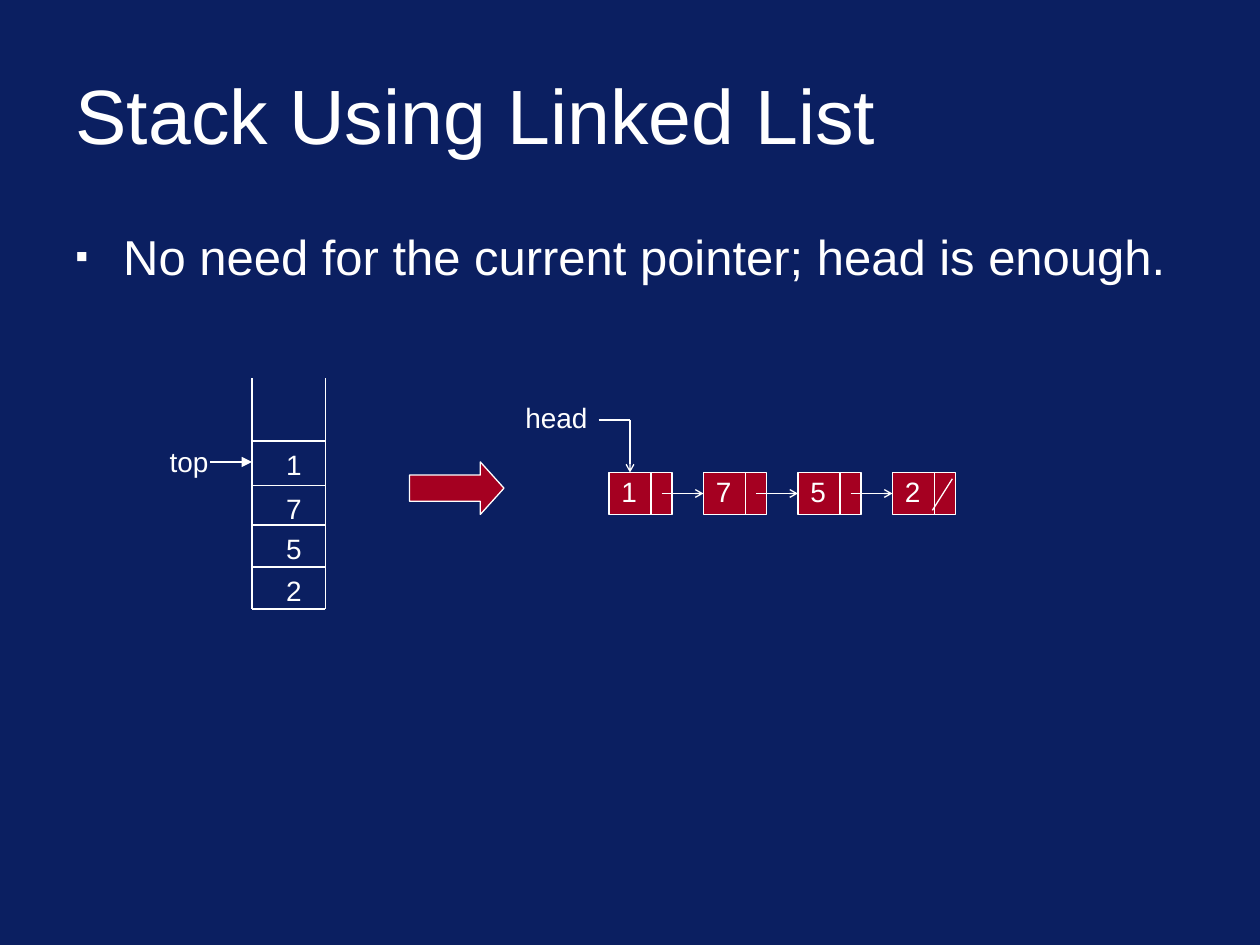
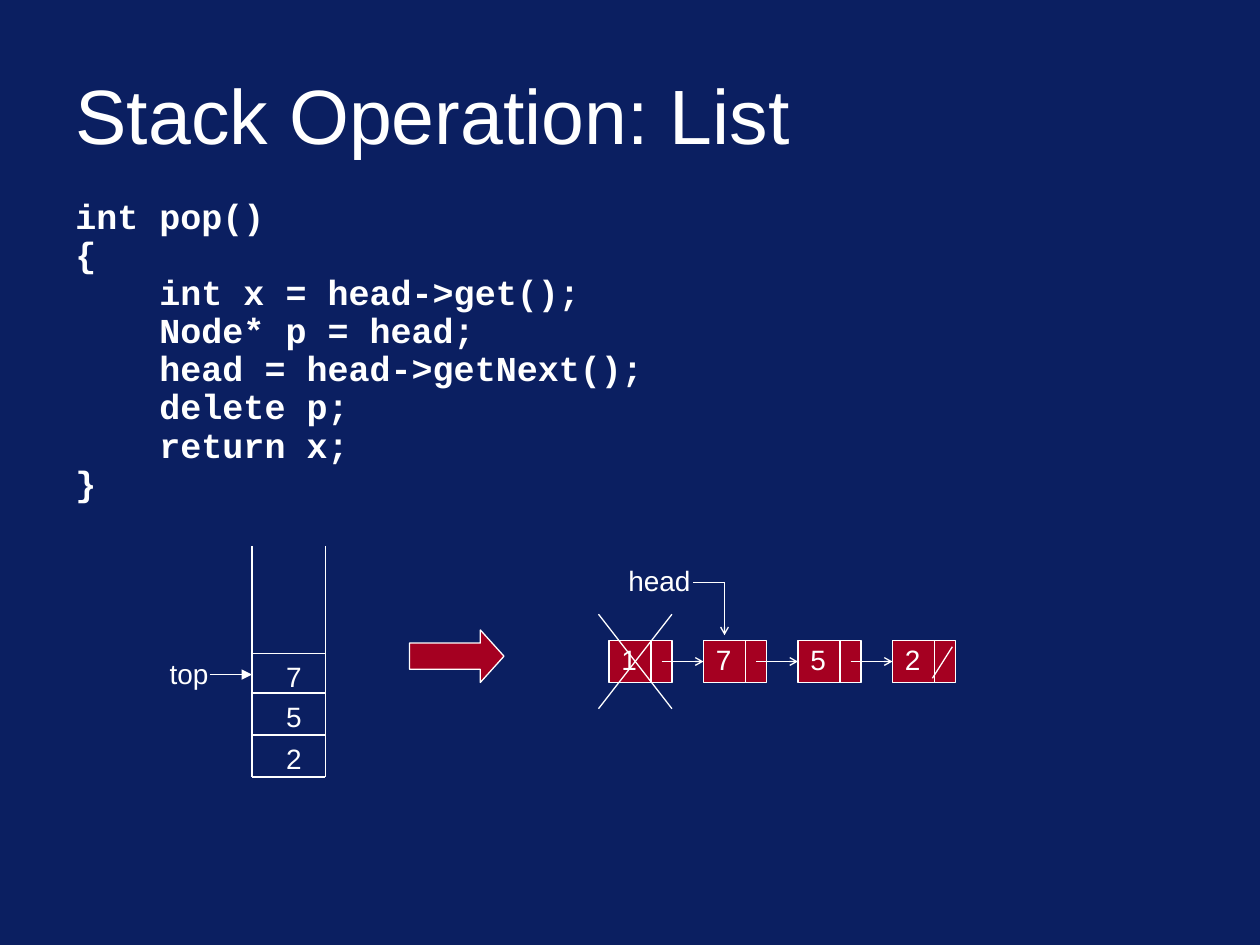
from dataclasses import dataclass

from pptx import Presentation
from pptx import util as u
from pptx.dml.color import RGBColor
from pptx.enum import shapes, text
from pptx.oxml import ns, xmlchemy


@dataclass(frozen=True)
class Theme:
    back: RGBColor = RGBColor(0x0B, 0x1F, 0x61)
    ink: RGBColor = RGBColor(0xFF, 0xFF, 0xFF)
    fill: RGBColor = RGBColor(0xA5, 0x00, 0x21)
    sans: str = "Arial"
    mono: str = "Courier New"
    title: int = 44
    body: int = 28
    code: int = 20
    label: int = 16
    rule: float = 0.75


T = Theme()
WIDE, HIGH = u.Inches(10), u.Inches(7.5)
COLS = 120  # columns across the slide; rows have the same size
RUNGS = (0, 4, 8, 11.75, 16)  # cell edges, counted up from the stack floor
PITCH = 9
NODE_W, NODE_H = 6, 4
TIPS = {"arrow": "sm", "triangle": "med"}
CODE = """int pop()
{
    int x = head->get();
    Node* p = head;
    head = head->getNext();
    delete p;
    return x;
}"""


def grid(*vals):
    return [round(WIDE * v / COLS) for v in vals]


def add_tag(parent, name, **attrs):
    node = xmlchemy.OxmlElement(name)
    for key, val in attrs.items():
        node.set(key, val)
    parent.append(node)


def style(par, size, font=T.sans, bold=False):
    for run in par.runs:
        run.font.size, run.font.name = u.Pt(size), font
        run.font.bold = bold
        run.font.color.rgb = T.ink


def write(slide, words, x, y, w, h, wrap=True):
    frame = slide.shapes.add_textbox(*grid(x, y, w, h)).text_frame
    frame.word_wrap = wrap
    frame.text = words
    return frame.paragraphs


def label(slide, words, x, y, w, align=text.PP_ALIGN.CENTER):
    par = write(slide, words, x, y, w, 4.4, wrap=False)[0]
    par.alignment = align
    style(par, T.label)


def line(slide, x1, y1, x2, y2, tip=None):
    link = slide.shapes.add_connector(
        shapes.MSO_CONNECTOR.STRAIGHT, *grid(x1, y1, x2, y2))
    link.line.color.rgb = T.ink
    link.line.width = u.Pt(T.rule)
    props = link._element.spPr
    if tip:
        add_tag(props.find(ns.qn("a:ln")), "a:tailEnd",
                type=tip, w=TIPS[tip], len=TIPS[tip])
    add_tag(props, "a:effectLst")


def block(slide, kind, x, y, w, h):
    form = slide.shapes.add_shape(kind, *grid(x, y, w, h))
    form.shadow.inherit = False
    form.fill.solid()
    form.fill.fore_color.rgb = T.fill
    form.line.color.rgb = T.ink
    form.line.width = u.Pt(T.rule)
    return form


def draw_stack(slide, vals, x, y, w=7, h=22):
    """Draw an open-topped stack; vals run from top to bottom."""
    floor, right = y + h, x + w
    for side in (x, right):
        line(slide, side, y, side, floor)
    for rung in RUNGS[:len(vals) + 1]:
        line(slide, x, floor - rung, right, floor - rung)
    for val, rung in zip(reversed(vals), RUNGS[1:]):
        label(slide, val, x + 2, floor - rung, 4)
    top = floor - RUNGS[len(vals)] + 2
    label(slide, "top", x - 11, top - 2.3, 10)
    line(slide, x - 4, top, x, top, "triangle")


def draw_node(slide, val, x, y, last):
    block(slide, shapes.MSO_SHAPE.RECTANGLE, x, y, NODE_W, NODE_H)
    line(slide, x + 4, y, x + 4, y + NODE_H)
    label(slide, val, x, y - 0.4, 4, text.PP_ALIGN.LEFT)
    if last:
        line(slide, x + 5.7, y + 0.6, x + 3.8, y + 3.6)
    else:
        line(slide, x + 5, y + 2, x + PITCH, y + 2, "arrow")


def draw_head(slide, x, y, gap):
    """Point at (x, y) from a label centred gap columns to the left."""
    label(slide, "head", x - gap - 6, y - 7.4, 12)
    line(slide, x - 3, y - 5, x, y - 5)
    line(slide, x, y - 5, x, y, "arrow")


def draw_list(slide, vals, x, y):
    for i, val in enumerate(vals):
        draw_node(slide, val, x + i * PITCH, y, i == len(vals) - 1)


def cross_out(slide, x, y):
    left, right, top, low = x - 1, x + 6, y - 2.5, y + 6.5
    line(slide, right, top, left, low)
    line(slide, left, top, right, low)


def draw_pair(slide, stack, chain, y):
    """Draw stack, block arrow and list; return the list's corner."""
    draw_stack(slide, stack, 24, y)
    arrow = block(slide, shapes.MSO_SHAPE.RIGHT_ARROW, 39, y + 8, 9, 5)
    arrow.adjustments[0], arrow.adjustments[1] = 0.5, 0.45
    draw_list(slide, chain, 58, y + 9)
    return 58, y + 9


def new_slide(deck, words):
    slide = deck.slides.add_slide(deck.slide_layouts[5])
    title = slide.shapes.title
    title.left, title.top, title.width, title.height = grid(6, 4.8, 108, 12)
    frame = title.text_frame
    frame.text = words
    frame.vertical_anchor = text.MSO_ANCHOR.MIDDLE
    par = frame.paragraphs[0]
    par.alignment = text.PP_ALIGN.LEFT
    style(par, T.title)
    return slide


def list_slide(deck):
    slide = new_slide(deck, "Stack Using Linked List")
    words = "No need for the current pointer; head is enough."
    par = write(slide, words, 6, 21, 108, 8)[0]
    props = par._p.get_or_add_pPr()
    hang = u.Inches(0.38)
    props.set("marL", str(hang))
    props.set("indent", str(-hang))
    add_tag(props, "a:buSzPct", val="75000")
    add_tag(props, "a:buFont", typeface=T.sans)
    add_tag(props, "a:buChar", char="▪")
    style(par, T.body)
    x, y = draw_pair(slide, "1752", "1752", 36)
    draw_head(slide, x + 2, y, 7)


def pop_slide(deck):
    slide = new_slide(deck, "Stack Operation: List")
    for i, par in enumerate(write(slide, CODE, 6, 19, 108, 31)):
        par.line_spacing = 0.7
        par.space_before = u.Pt(5 if i else 0)
        style(par, T.code, T.mono, True)
    x, y = draw_pair(slide, "752", "1752", 52)
    draw_head(slide, x + PITCH + 2, y - 0.5, 6.2)
    cross_out(slide, x, y)


def main():
    deck = Presentation()
    deck.slide_width, deck.slide_height = WIDE, HIGH
    fill = deck.slide_master.background.fill
    fill.solid()
    fill.fore_color.rgb = T.back
    list_slide(deck)
    pop_slide(deck)
    deck.save("out.pptx")


if __name__ == "__main__":
    main()
